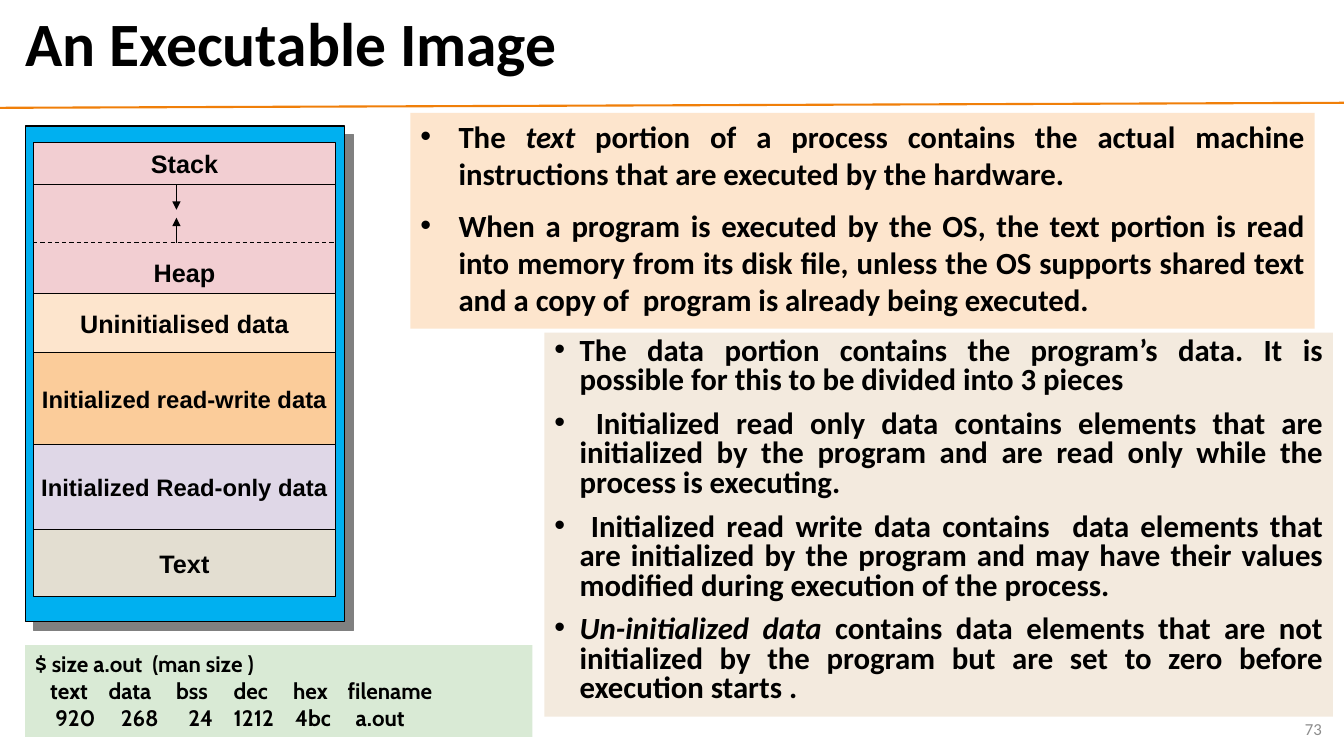
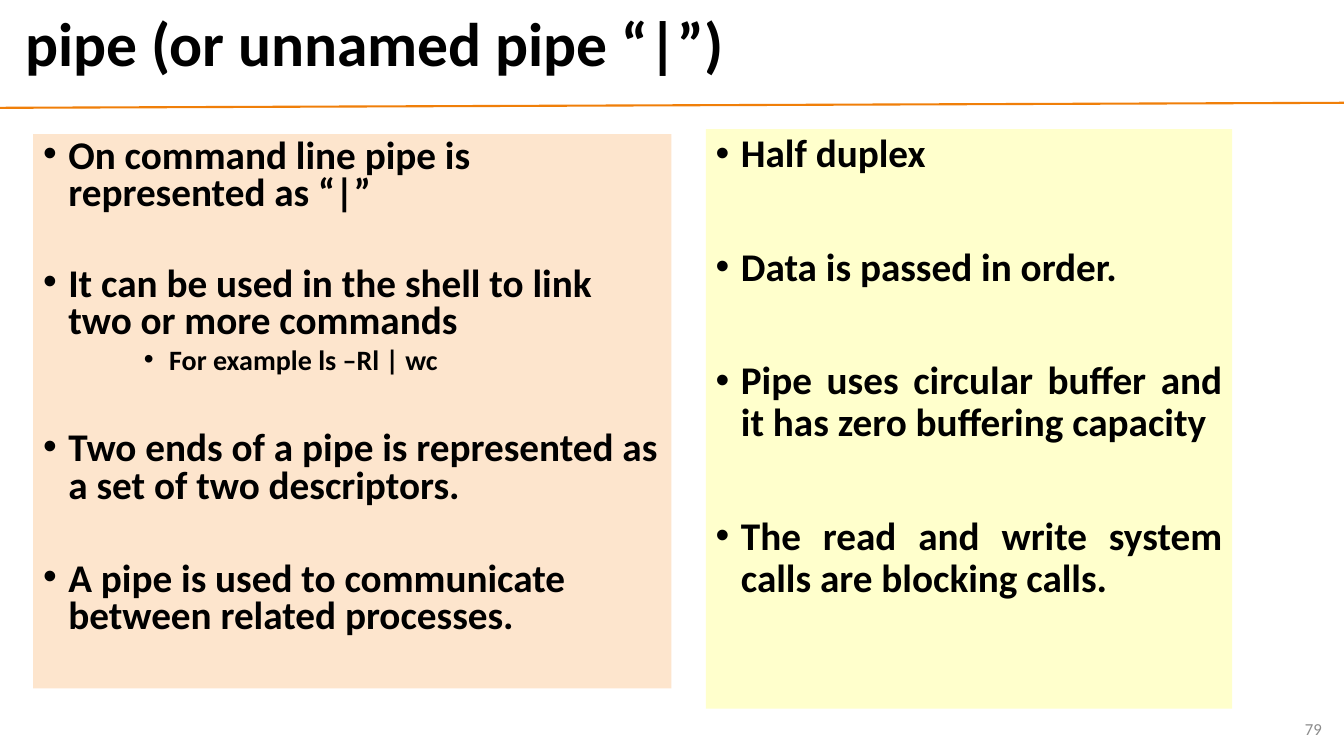
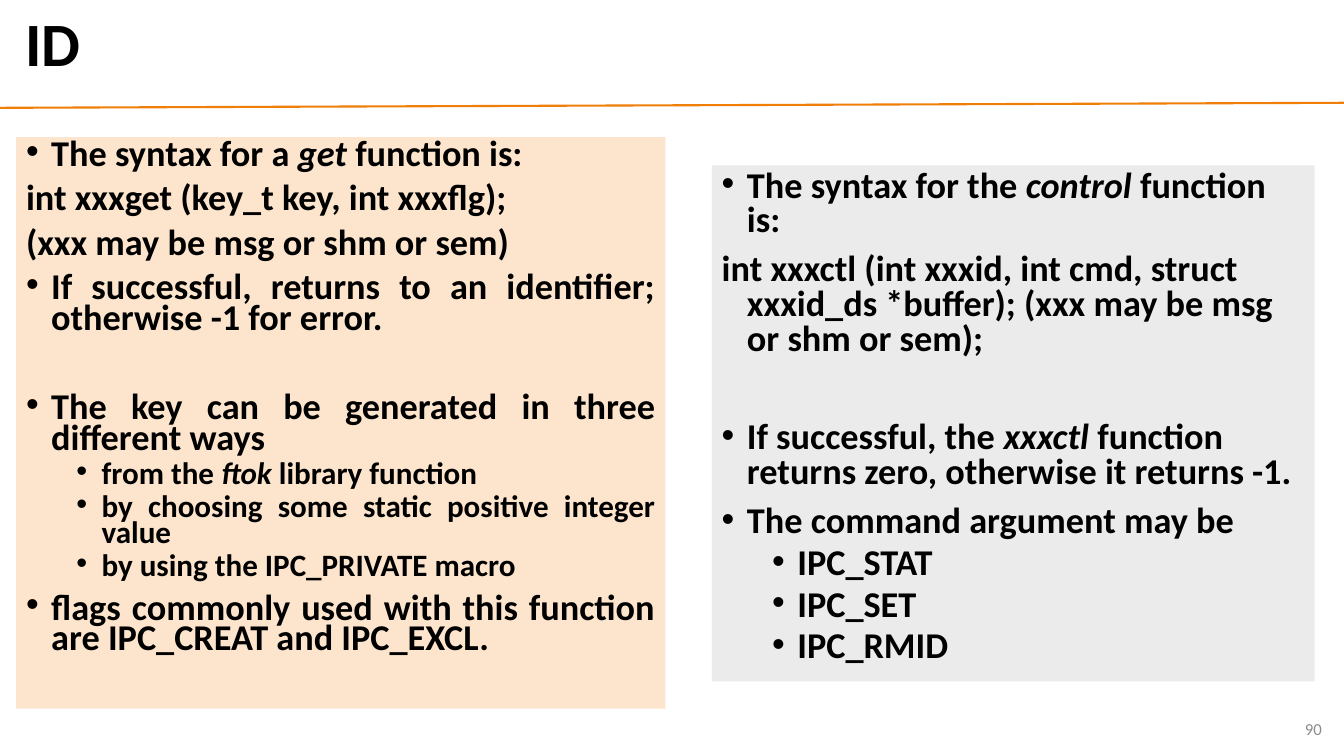
"""Build three lecture slides on program images, pipes and IPC identifiers."""
from dataclasses import dataclass
from itertools import accumulate
from typing import NamedTuple

from lxml.etree import SubElement
from pptx import Presentation
from pptx.dml.color import RGBColor
from pptx.enum.dml import MSO_LINE
from pptx.enum.shapes import MSO_CONNECTOR, MSO_SHAPE
from pptx.enum.text import MSO_ANCHOR, PP_ALIGN
from pptx.oxml.ns import qn
from pptx.util import Emu, Pt

EMU_PER_PX = 9144
SLIDE_WIDTH, SLIDE_HEIGHT = 1333, 750
BODY_FONT, DIAGRAM_FONT, COMMAND_FONT = "Calibri", "Arial", "Cabin"
COLORS = {
    "ink": "000000", "rule": "F07F09", "number": "8C8C8C", "frame": "00B0F0",
    "shadow": "808080", "pink": "F2CED2", "peach": "FDE5CD", "orange": "FBCC9A",
    "lilac": "DFD7E7", "stone": "E3DED1", "green": "D9EAD5", "sand": "F3EADE",
    "yellow": "FFFFCC", "gray": "EBEBEB",
}


class Area(NamedTuple):
    """Left, top, width and height in px."""
    left: int
    top: int
    width: int
    height: int


@dataclass(frozen=True)
class Item:
    """One paragraph of a panel, with the space before it in points."""
    text: str
    gap: float = 10
    italic: str = ""
    bullet: bool = True
    indent: int = 25
    size: float = 0


@dataclass(frozen=True)
class Panel:
    """A filled box of paragraphs."""
    area: Area
    fill: str
    size: float
    spacing: float
    align: PP_ALIGN
    items: tuple[Item, ...]
    hanging: int = 25


@dataclass(frozen=True)
class Segment:
    """One region of the memory diagram."""
    label: str
    height: int
    fill: str
    size: int = 18
    anchor: MSO_ANCHOR = MSO_ANCHOR.MIDDLE


@dataclass(frozen=True)
class Link:
    """A thin line of the memory diagram."""
    start: tuple[int, int]
    end: tuple[int, int]
    arrow: bool = True


class TabRow(NamedTuple):
    """Words of one output row and their tab stops in px."""
    words: str
    stops: tuple[int, ...]


SEGMENTS = (
    Segment("Stack", 42, "pink"),
    Segment("Heap", 108, "pink", anchor=MSO_ANCHOR.BOTTOM),
    Segment("Uninitialised data", 59, "peach"),
    Segment("Initialized read-write data", 91, "orange", 17),
    Segment("Initialized Read-only data", 84, "lilac", 17),
    Segment("Text", 67, "stone"),
)
LINKS = (
    Link((33, 241), (333, 241), arrow=False),
    Link((175, 133), (175, 133)),
    Link((175, 183), (175, 208)),
    Link((175, 241), (175, 216)),
)
COMMAND = "$ size a.out  (man size )"
OUTPUT_ROWS = (
    TabRow("text data bss dec hex filename", (15, 73, 140, 197, 256, 310)),
    TabRow("920 268 24 1212 4bc a.out", (20, 85, 152, 197, 258, 318)),
)
IMAGE_PANELS = (
    Panel(Area(407, 112, 897, 214), "peach", 22, 1, PP_ALIGN.JUSTIFY, (
        Item("The text portion of a process contains the actual machine instructions "
             "that are executed by the hardware.", italic="text"),
        Item("When a program is executed by the OS, the text portion is read into memory "
             "from its disk file, unless the OS supports shared text and a copy of  program "
             "is already being executed.", gap=10.7, indent=38),
    ), hanging=38),
    Panel(Area(540, 330, 782, 381), "sand", 22, 0.8, PP_ALIGN.JUSTIFY, (
        Item("The data portion contains the program’s data. It is possible for this to be "
             "divided into 3 pieces"),
        Item(" Initialized read only data contains elements that are initialized by the "
             "program and are read only while the process is executing."),
        Item(" Initialized read write data contains  data elements that are initialized by "
             "the program and may have their values modified during execution of the process."),
        Item("Un-initialized data contains data elements that are not initialized by the "
             "program but are set to zero before execution starts .",
             italic="Un-initialized data"),
    )),
)
PIPE_PANELS = (
    Panel(Area(33, 133, 633, 550), "peach", 28, 0.8, PP_ALIGN.LEFT, (
        Item("On command line pipe is represented as “|”"),
        Item("It can be used in the shell to link two or more commands", gap=37.6),
        Item("For example ls –Rl | wc", gap=5, indent=125, size=20),
        Item("Two ends of a pipe is represented as a set of two descriptors.", gap=39.5),
        Item("A pipe is used to communicate between related processes.", gap=39.5),
    )),
    Panel(Area(700, 128, 522, 575), "yellow", 28, 0.9, PP_ALIGN.JUSTIFY, (
        Item("Half duplex"),
        Item("Data is passed in order.", gap=50.7),
        Item("Pipe uses circular buffer and it has zero buffering capacity", gap=50.7),
        Item("The read and write system calls are blocking calls.", gap=50.7),
    )),
)
ID_PANELS = (
    Panel(Area(16, 136, 644, 567), "peach", 25.9, 0.7, PP_ALIGN.JUSTIFY, (
        Item("The syntax for a get function is:", italic="get"),
        Item("int xxxget (key_t key, int xxxflg);", bullet=False),
        Item("(xxx may be msg or shm or sem)", bullet=False),
        Item("If successful, returns to an identifier; otherwise -1 for error."),
        Item("The key can be generated in three different ways", gap=42.1),
        Item("from the ftok library function", 5, "ftok", indent=75, size=22.2),
        Item("by choosing some static positive integer value", 5, indent=75, size=22.2),
        Item("by using the IPC_PRIVATE macro", 5, indent=75, size=22.2),
        Item("flags commonly used with this function are IPC_CREAT and IPC_EXCL."),
    )),
    Panel(Area(706, 164, 598, 512), "gray", 25.9, 0.8, PP_ALIGN.LEFT, (
        Item("The syntax for the control function is:", italic="control"),
        Item("int xxxctl (int xxxid, int cmd, struct xxxid_ds *buffer); "
             "(xxx may be msg or shm or sem);", bullet=False),
        Item("If successful, the xxxctl function returns zero, otherwise it returns -1.",
             gap=45.3, italic="xxxctl"),
        Item("The command argument may be"),
        *(Item(name, 5, indent=75) for name in ("IPC_STAT", "IPC_SET", "IPC_RMID")),
    )),
)


def px(length: int) -> Emu:
    """Turn px into EMU."""
    return Emu(length * EMU_PER_PX)


def color(name: str) -> RGBColor:
    """Look up a named colour."""
    return RGBColor.from_string(COLORS[name])


def style_runs(paragraph, font: str, size: float, ink: str = "ink", bold: bool = True) -> None:
    """Format every run of a paragraph."""
    for run in paragraph.runs:
        run.font.name = font
        run.font.size = Pt(size)
        run.font.bold = bold
        run.font.color.rgb = color(ink)


def add_label(page, area: Area, text: str, size: int, ink: str, bold: bool,
              align: PP_ALIGN, spacing: float) -> None:
    """Add a one-line text box."""
    frame = page.shapes.add_textbox(*map(px, area)).text_frame
    frame.word_wrap = True
    frame.vertical_anchor = MSO_ANCHOR.MIDDLE
    frame.text = text
    paragraph = frame.paragraphs[0]
    paragraph.alignment = align
    paragraph.line_spacing = spacing
    style_runs(paragraph, BODY_FONT, size, ink, bold)


def add_line(page, start: tuple[int, int], end: tuple[int, int], ink: str, width: float):
    """Add a straight line without shadow."""
    line = page.shapes.add_connector(MSO_CONNECTOR.STRAIGHT, *map(px, start + end))
    line.line.color.rgb = color(ink)
    line.line.width = Pt(width)
    SubElement(line._element.spPr, qn("a:effectLst"))
    return line


def add_box(page, area: Area, fill: str, outlined: bool = False):
    """Add a filled rectangle with top-anchored text."""
    box = page.shapes.add_shape(MSO_SHAPE.RECTANGLE, *map(px, area))
    box.shadow.inherit = False
    box.fill.solid()
    box.fill.fore_color.rgb = color(fill)
    if outlined:
        box.line.color.rgb = color("ink")
        box.line.width = Pt(0.75)
    else:
        box.line.fill.background()
    box.text_frame.word_wrap = True
    box.text_frame.vertical_anchor = MSO_ANCHOR.TOP
    return box


def add_page(deck, title: str, number: int):
    """Add a slide with the shared rule, title and page number."""
    page = deck.slides.add_slide(deck.slide_layouts[6])
    add_line(page, (0, 107), (SLIDE_WIDTH, 102), "rule", 1.5)
    add_label(page, Area(15, 5, 1289, 83), title, 44, "ink", True, PP_ALIGN.LEFT, 0.9)
    add_label(page, Area(1021, 703, 300, 40), str(number), 12, "number", False,
              PP_ALIGN.RIGHT, 1)
    return page


def fill_paragraph(paragraph, item: Item, panel: Panel) -> None:
    """Write one item with its bullet, indent and italic words."""
    properties = paragraph._p.get_or_add_pPr()
    properties.set("marL", str(px(max(item.indent, panel.hanging))))
    properties.set("indent", str(px(-panel.hanging)))
    if item.bullet:
        SubElement(properties, qn("a:buFont"), typeface=DIAGRAM_FONT)
        SubElement(properties, qn("a:buChar"), char="•")
    else:
        SubElement(properties, qn("a:buNone"))
    paragraph.alignment = panel.align
    paragraph.line_spacing = panel.spacing
    before, *rest = item.text.partition(item.italic) if item.italic else (item.text,)
    paragraph.text = before
    for piece in filter(None, rest):
        paragraph.add_run().text = piece
    style_runs(paragraph, BODY_FONT, item.size or panel.size)
    for run in paragraph.runs:
        run.font.italic = run.text == item.italic


def add_panel(page, panel: Panel) -> None:
    """Add a filled box and its paragraphs."""
    frame = add_box(page, panel.area, panel.fill).text_frame
    for index, item in enumerate(panel.items):
        paragraph = frame.add_paragraph() if index else frame.paragraphs[0]
        fill_paragraph(paragraph, item, panel)
        if index:
            paragraph.space_before = Pt(item.gap)


def add_frame(page) -> None:
    """Add the shadowed frame behind the memory diagram."""
    frame = add_box(page, Area(25, 125, 317, 492), "frame", outlined=True)
    effects = frame._element.spPr.find(qn("a:effectLst"))
    shadow = SubElement(effects, qn("a:outerShdw"), blurRad="0", dist=str(Pt(8.5)),
                        dir="2700000", algn="ctr", rotWithShape="0")
    SubElement(shadow, qn("a:srgbClr"), val=COLORS["shadow"])


def add_segment(page, segment: Segment, top: int) -> None:
    """Add one labelled memory region."""
    box = add_box(page, Area(33, top, 300, segment.height), segment.fill, outlined=True)
    frame = box.text_frame
    frame.word_wrap = False
    frame.vertical_anchor = segment.anchor
    frame.margin_top = frame.margin_bottom = px(6)
    frame.text = segment.label
    frame.paragraphs[0].alignment = PP_ALIGN.CENTER
    style_runs(frame.paragraphs[0], DIAGRAM_FONT, segment.size)


def add_memory_diagram(page) -> None:
    """Add the frame, the stacked regions and the growth arrows."""
    add_frame(page)
    tops = accumulate((segment.height for segment in SEGMENTS), initial=141)
    for segment, top in zip(SEGMENTS, tops):
        add_segment(page, segment, top)
    for link in LINKS:
        line = add_line(page, link.start, link.end, "ink", 0.75)
        if link.arrow:
            SubElement(line.line._get_or_add_ln(), qn("a:tailEnd"), type="triangle")
        else:
            line.line.dash_style = MSO_LINE.DASH


def add_command(page) -> None:
    """Add the size command and its output in tabbed columns."""
    frame = add_box(page, Area(25, 640, 503, 91), "green").text_frame
    frame.text = COMMAND
    for row in OUTPUT_ROWS:
        paragraph = frame.add_paragraph()
        tabs = SubElement(paragraph._p.get_or_add_pPr(), qn("a:tabLst"))
        for stop in row.stops:
            SubElement(tabs, qn("a:tab"), pos=str(px(stop)), algn="l")
        paragraph.text = "".join(f"\t{word}" for word in row.words.split())
    for paragraph in frame.paragraphs:
        paragraph.alignment = PP_ALIGN.LEFT
        style_runs(paragraph, COMMAND_FONT, 16)


def main() -> None:
    """Build and save the deck."""
    deck = Presentation()
    deck.slide_width, deck.slide_height = px(SLIDE_WIDTH), px(SLIDE_HEIGHT)
    image_page = add_page(deck, "An Executable Image", 73)
    add_memory_diagram(image_page)
    add_command(image_page)
    pipe_page = add_page(deck, "pipe (or unnamed pipe “|”)", 79)
    id_page = add_page(deck, "ID", 90)
    for page, panels in ((image_page, IMAGE_PANELS), (pipe_page, PIPE_PANELS),
                         (id_page, ID_PANELS)):
        for panel in panels:
            add_panel(page, panel)
    deck.save("out.pptx")


if __name__ == "__main__":
    main()
